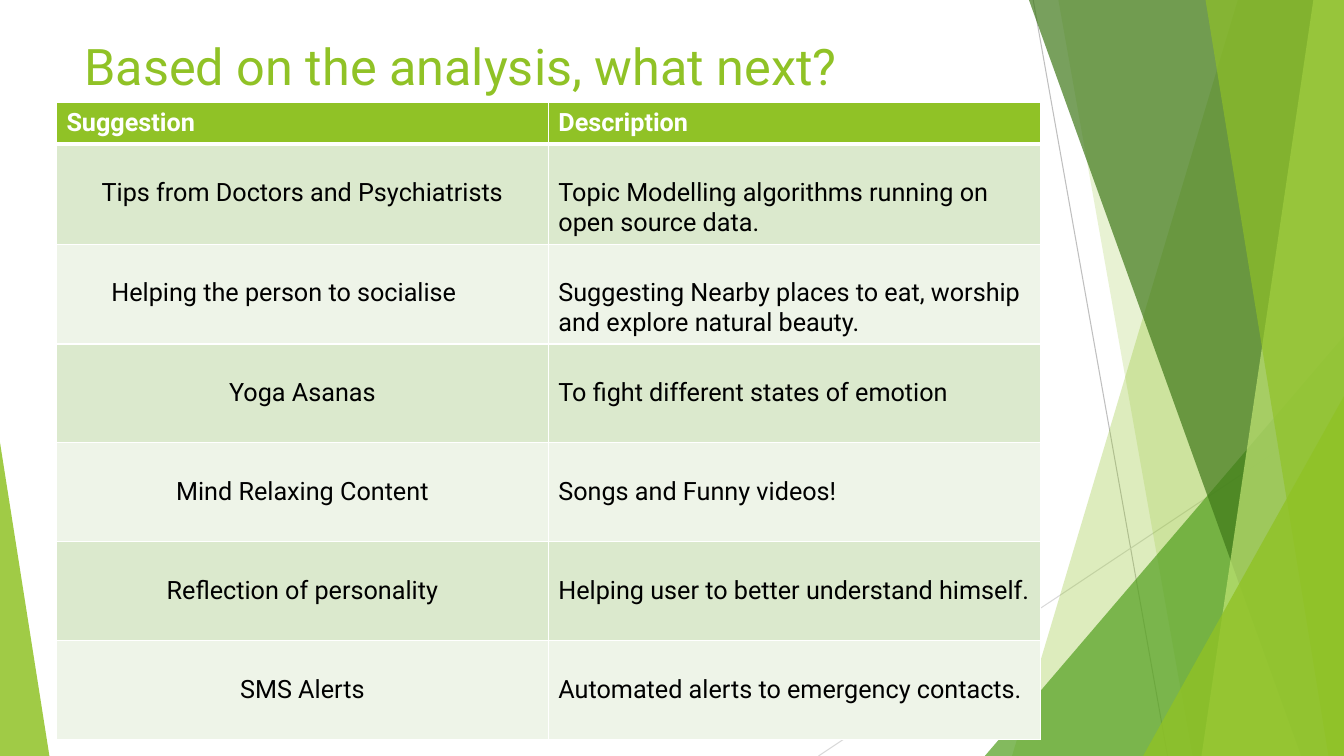
from dataclasses import dataclass

import lxml.etree
import pptx
import pptx.dml.color
import pptx.enum.shapes
import pptx.enum.text
import pptx.oxml
import pptx.oxml.ns
import pptx.util

COLUMNS, ROWS = 160, 90
UNIT = pptx.util.Inches(1 / 12)
FONT = "Roboto"
GREEN = "90C226"
BANDS = ("DBE9CD", "EEF4E8")
ALIGN = pptx.enum.text.PP_ALIGN
ANCHOR = pptx.enum.text.MSO_ANCHOR
HEADER_ROWS, BODY_ROWS = 4.92, 11.76
TABLE_LEFT, TABLE_TOP, TABLE_COLUMN = 6.72, 12.24, 58.56


@dataclass(frozen=True)
class Ray:
    """A thin straight line."""
    start: tuple[float, float]
    end: tuple[float, float]
    color: str


@dataclass(frozen=True)
class Shard:
    """A full-height panel with a slanted left edge and a straight right edge."""
    top_left: float
    bottom_left: float
    color: str
    opacity: int


@dataclass(frozen=True)
class Wedge:
    """A right triangle standing on the bottom edge; apex is 0 (left) or 1 (right)."""
    left: float
    top: float
    width: float
    apex: int
    color: str
    opacity: int


@dataclass(frozen=True)
class Idea:
    suggestion: str
    description: str
    shift_left: float = 0


DECOR = (
    Ray((123, 0), (139, 90), "BFBFBF"),
    Ray((160, 48.36), (97.44, 90), "D9D9D9"),
    Shard(147.36, 120.48, GREEN, 30),
    Shard(126, 141.96, GREEN, 20),
    Wedge(117.24, 40, 42.76, 1, "54A021", 72),
    Shard(122.5, 154.9, "3F7819", 70),
    Shard(156.36, 143.04, "C0E474", 70),
    Shard(143.52, 158.16, GREEN, 65),
    Wedge(136.08, 47.16, 23.92, 1, GREEN, 80),
    Wedge(0, 52.68, 5.88, 0, GREEN, 85),
)

IDEAS = (
    Idea("Tips from Doctors and Psychiatrists",
         "Topic Modelling algorithms running on open source data."),
    Idea("Helping the person to socialise",
         "Suggesting Nearby places to eat, worship and explore natural beauty.", 2.2),
    Idea("Yoga Asanas", "To fight different states of emotion"),
    Idea("Mind Relaxing Content", "Songs and Funny videos!"),
    Idea("Reflection of personality", "Helping user to better understand himself."),
    Idea("SMS Alerts", "Automated alerts to emergency contacts."),
)


def grid(*steps: float) -> list[int]:
    """Turn grid steps into lengths."""
    return [round(step * UNIT) for step in steps]


def rgb(color: str) -> pptx.dml.color.RGBColor:
    return pptx.dml.color.RGBColor.from_string(color)


def apply(target, formats: dict) -> None:
    for name, value in formats.items():
        setattr(target, name, value)


def write(frame, text: str, size: float, color: str, bold: bool = False,
          align=ALIGN.LEFT) -> None:
    para = frame.paragraphs[0]
    para.alignment = align
    span = para.add_run()
    span.text = text
    apply(span.font, {"name": FONT, "size": pptx.util.Pt(size), "bold": bold})
    span.font.color.rgb = rgb(color)


def paint(shape, color: str, opacity: int) -> None:
    """Give a shape a see-through fill and no outline."""
    shape.shadow.inherit = False
    shape.line.fill.background()
    shape.fill.solid()
    shape.fill.fore_color.rgb = rgb(color)
    tint = shape.fill._xPr.find(".//" + pptx.oxml.ns.qn("a:srgbClr"))
    lxml.etree.SubElement(tint, pptx.oxml.ns.qn("a:alpha"), val=str(opacity * 1000))


def draw_ray(page, ray: Ray) -> None:
    line = page.shapes.add_connector(pptx.enum.shapes.MSO_CONNECTOR.STRAIGHT,
                                     *grid(*ray.start, *ray.end))
    line.line.color.rgb = rgb(ray.color)
    line.line.width = pptx.util.Pt(0.75)
    lxml.etree.SubElement(line._element.spPr, pptx.oxml.ns.qn("a:effectLst"))


def draw_shard(page, shard: Shard) -> None:
    outline = page.shapes.build_freeform(*grid(shard.top_left, 0))
    corners = ((COLUMNS, 0), (COLUMNS, ROWS), (shard.bottom_left, ROWS))
    outline.add_line_segments([grid(*corner) for corner in corners], close=True)
    paint(outline.convert_to_shape(), shard.color, shard.opacity)


def draw_wedge(page, wedge: Wedge) -> None:
    triangle = page.shapes.add_shape(
        pptx.enum.shapes.MSO_SHAPE.ISOSCELES_TRIANGLE,
        *grid(wedge.left, wedge.top, wedge.width, ROWS - wedge.top))
    triangle.adjustments[0] = wedge.apex
    paint(triangle, wedge.color, wedge.opacity)


def draw_title(page, text: str) -> None:
    box = page.shapes.add_textbox(*grid(8.88, 3.36, 112.8, 8.88))
    apply(box.text_frame, {"word_wrap": True, "vertical_anchor": ANCHOR.MIDDLE})
    write(box.text_frame, text, 36, GREEN)


def border(cell, top: float, bottom: float) -> None:
    """Put white lines around a cell, with top and bottom widths in points."""
    widths = {"lnL": 1, "lnR": 1, "lnT": top, "lnB": bottom}
    for place, (side, width) in enumerate(widths.items()):
        edge = pptx.oxml.parse_xml(
            f'<a:{side} {pptx.oxml.ns.nsdecls("a")} w="{pptx.util.Pt(width)}">'
            '<a:solidFill><a:srgbClr val="FFFFFF"/></a:solidFill>'
            f'</a:{side}>')
        cell._tc.get_or_add_tcPr().insert(place, edge)


def fill_cell(cell, color: str, top: float, bottom: float) -> None:
    cell.fill.solid()
    cell.fill.fore_color.rgb = rgb(color)
    border(cell, top, bottom)


def draw_table(page, headings: tuple[str, ...], ideas: tuple[Idea, ...]) -> None:
    height = HEADER_ROWS + BODY_ROWS * len(ideas)
    table = page.shapes.add_table(
        len(ideas) + 1, len(headings),
        *grid(TABLE_LEFT, TABLE_TOP, TABLE_COLUMN * len(headings), height)).table
    table.horz_banding = False
    for row, steps in zip(table.rows, [HEADER_ROWS] + [BODY_ROWS] * len(ideas)):
        row.height = grid(steps)[0]
    for column, heading in enumerate(headings):
        cell = table.cell(0, column)
        write(cell.text_frame, heading, 18, "FFFFFF", bold=True)
        fill_cell(cell, GREEN, 1, 3)
    for number, idea in enumerate(ideas, 1):
        entries = ((idea.suggestion, ALIGN.CENTER, idea.shift_left * 2),
                   (idea.description, ALIGN.LEFT, 0))
        for column, (text, align, inset) in enumerate(entries):
            cell = table.cell(number, column)
            margin_top, margin_right = grid(4.1, 1.2 + inset)
            apply(cell, {"margin_top": margin_top, "margin_right": margin_right})
            write(cell.text_frame, text, 18, "000000", align=align)
            fill_cell(cell, BANDS[(number - 1) % 2], 3 if number == 1 else 1, 1)


def main() -> None:
    deck = pptx.Presentation()
    width, height = grid(COLUMNS, ROWS)
    apply(deck, {"slide_width": width, "slide_height": height})
    page = deck.slides.add_slide(deck.slide_layouts[6])
    painters = {Ray: draw_ray, Shard: draw_shard, Wedge: draw_wedge}
    for item in DECOR:
        painters[type(item)](page, item)
    draw_title(page, "Based on the analysis, what next?")
    draw_table(page, ("Suggestion", "Description"), IDEAS)
    deck.save("out.pptx")


if __name__ == "__main__":
    main()
